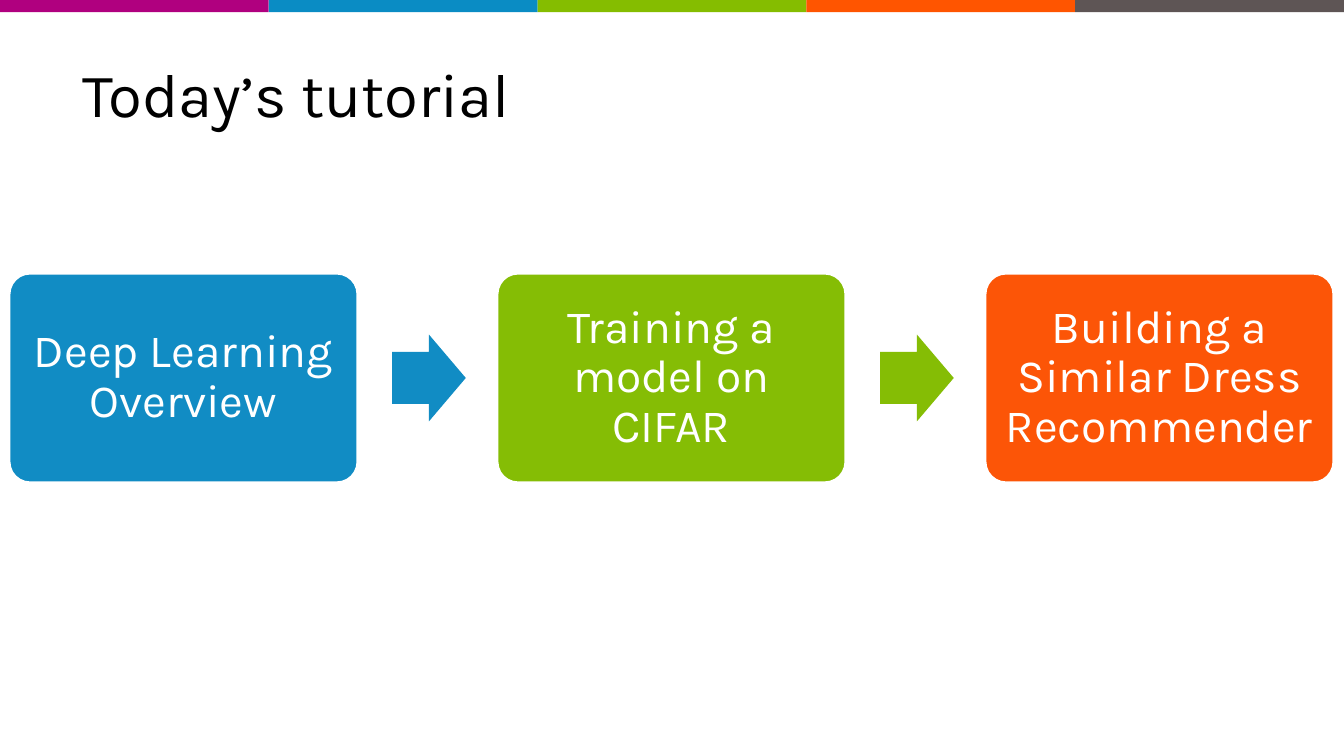
"""Build the tutorial overview slide: three steps joined by arrows."""
from pptx import Presentation
from pptx.dml.color import RGBColor
from pptx.enum.shapes import MSO_SHAPE as Shape
from pptx.enum.text import MSO_ANCHOR as Anchor, PP_ALIGN as Align
from pptx.util import Inches, Pt


def color(value):
    return RGBColor.from_string(value)


def add_filled(kind, left, top, width, height, fill):
    shape = slide.shapes.add_shape(
        kind, Inches(left), Inches(top), Inches(width), Inches(height))
    shape.shadow.inherit = False
    shape.fill.solid()
    shape.fill.fore_color.rgb = color(fill)
    shape.line.fill.background()
    return shape


presentation = Presentation()
presentation.slide_width = Inches(13.33)
presentation.slide_height = Inches(7.5)
slide = presentation.slides.add_slide(presentation.slide_layouts[6])

band_colors = ["B0007F", "0A8CC4", "85BD00", "FF5500", "5E5555"]
band_width = 13.33 / len(band_colors)
for index, fill in enumerate(band_colors):
    add_filled(Shape.RECTANGLE, index * band_width, 0, band_width, 0.12, fill)

title = slide.shapes.add_textbox(Inches(0.72), Inches(0.3), Inches(12), Inches(1.25))
title.text_frame.word_wrap = True
title.text_frame.vertical_anchor = Anchor.MIDDLE
paragraph = title.text_frame.paragraphs[0]
paragraph.text = "Today’s tutorial"
paragraph.font.name = "Karla"
paragraph.font.size = Pt(44)
paragraph.font.color.rgb = color("000000")

steps = [
    ("Deep Learning Overview", "118CC4"),
    ("Training a model on CIFAR", "85BD05"),
    ("Building a Similar Dress Recommender", "FC5507"),
]
for index, (text, fill) in enumerate(steps):
    left = 0.09 + index * 4.84
    step = add_filled(Shape.ROUNDED_RECTANGLE, left, 2.71, 3.46, 2.08, fill)
    step.adjustments[0] = 0.1
    step.line.color.rgb = color("FFFFFF")
    step.line.width = Pt(2)
    frame = step.text_frame
    frame.word_wrap = True
    frame.vertical_anchor = Anchor.MIDDLE
    frame.margin_left = frame.margin_right = Inches(0.14)
    frame.margin_top = frame.margin_bottom = Inches(0.14)
    paragraph = frame.paragraphs[0]
    paragraph.text = text
    paragraph.alignment = Align.CENTER
    paragraph.line_spacing = 0.9
    paragraph.font.name = "Karla"
    paragraph.font.size = Pt(33)
    paragraph.font.color.rgb = color("FFFFFF")
    if index < len(steps) - 1:
        arrow = add_filled(Shape.RIGHT_ARROW, left + 3.8, 3.32, 0.73, 0.86, fill)
        arrow.adjustments[0] = 0.6
        arrow.adjustments[1] = 0.5

presentation.save("out.pptx")
